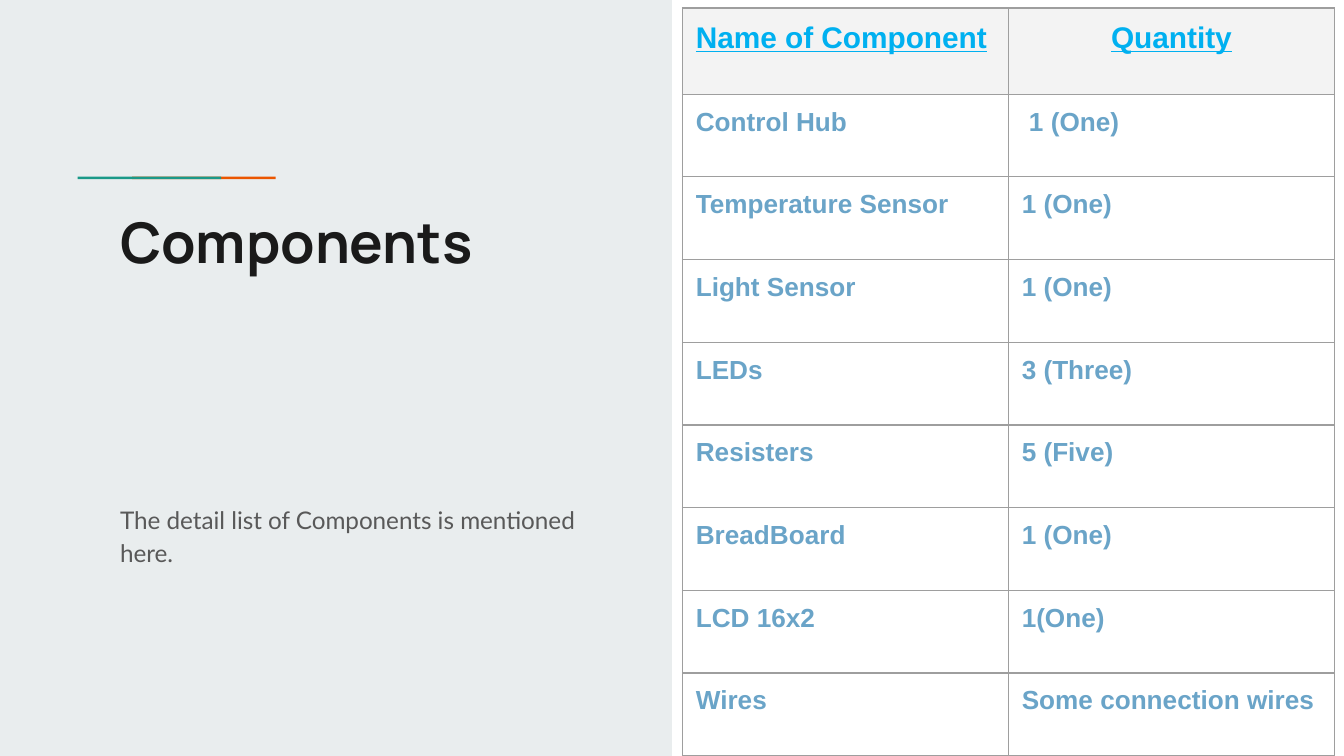
"""Build the components slide: a titled panel beside a parts table."""
import pptx
import pptx.dml.color
import pptx.enum.shapes
import pptx.enum.text
import pptx.oxml
import pptx.oxml.ns
import pptx.util

Cm = pptx.util.Cm
Pt = pptx.util.Pt
Align = pptx.enum.text.PP_ALIGN

COLORS = {
    "panel": "E9EDEE", "teal": "1A9988", "orange": "EB5600",
    "title": "1A1A1A", "subtitle": "595959", "heading": "00B0F0",
    "entry": "6AA4C8", "heading_fill": "F3F3F3", "border": "9E9E9E",
}

COMPONENTS = [
    ("Name of Component", "Quantity"),
    ("Control Hub", " 1 (One)"),
    ("Temperature Sensor", "1 (One)"),
    ("Light Sensor", "1 (One)"),
    ("LEDs", "3 (Three)"),
    ("Resisters", "5 (Five)"),
    ("BreadBoard", "1 (One)"),
    ("LCD 16x2", "1(One)"),
    ("Wires", "Some connection wires"),
]


class SlideBuilder:
    def __init__(self, slide, inset=0.25):
        self.slide = slide
        self.inset = Cm(inset)

    def color(self, name):
        return pptx.dml.color.RGBColor.from_string(COLORS[name])

    def font(self, paragraph, face, size, color, bold=False, underline=False):
        font = paragraph.font
        font.name, font.size = face, Pt(size)
        font.bold, font.underline = bold, underline
        font.color.rgb = self.color(color)

    def margins(self, holder):
        holder.margin_left = holder.margin_right = self.inset
        holder.margin_top = holder.margin_bottom = self.inset

    def block(self, left, top, width, height, color):
        block = self.slide.shapes.add_shape(
            pptx.enum.shapes.MSO_SHAPE.RECTANGLE,
            Cm(left), Cm(top), Cm(width), Cm(height))
        block.shadow.inherit = False
        block.fill.solid()
        block.fill.fore_color.rgb = self.color(color)
        block.line.fill.background()

    def text(self, left, top, width, height, words, face, size, color,
             bold=False, spacing=1.0):
        box = self.slide.shapes.add_textbox(
            Cm(left), Cm(top), Cm(width), Cm(height))
        frame = box.text_frame
        frame.word_wrap = True
        self.margins(frame)
        paragraph = frame.paragraphs[0]
        paragraph.text = words
        paragraph.line_spacing = spacing
        self.font(paragraph, face, size, color, bold)

    def borders(self, cell):
        properties = cell._tc.get_or_add_tcPr()
        for side in ("lnL", "lnR", "lnT", "lnB"):
            properties.append(pptx.oxml.parse_xml(
                f'<a:{side} {pptx.oxml.ns.nsdecls("a")} w="{Pt(0.75)}">'
                f'<a:solidFill><a:srgbClr val="{COLORS["border"]}"/></a:solidFill>'
                f'</a:{side}>'))

    def cell(self, cell, words, heading, centered):
        self.borders(cell)
        self.margins(cell)
        if heading:
            cell.fill.solid()
            cell.fill.fore_color.rgb = self.color("heading_fill")
        else:
            cell.fill.background()
        paragraph = cell.text_frame.paragraphs[0]
        paragraph.text = words
        paragraph.alignment = Align.CENTER if centered else Align.LEFT
        self.font(paragraph, "Arial", 16 if heading else 14,
                  "heading" if heading else "entry", True, heading)

    def table(self, left, top, column_width, height, heading_height, rows):
        columns = len(rows[0])
        row_height = (height - heading_height) / (len(rows) - 1)
        table = self.slide.shapes.add_table(
            len(rows), columns, Cm(left), Cm(top),
            Cm(column_width * columns), Cm(height)).table
        table.first_row = table.horz_banding = False
        for column in table.columns:
            column.width = Cm(column_width)
        for r, entries in enumerate(rows):
            heading = r == 0
            table.rows[r].height = Cm(heading_height if heading else row_height)
            for c, words in enumerate(entries):
                self.cell(table.cell(r, c), words, heading, heading and c == 1)


def main():
    deck = pptx.Presentation()
    deck.slide_width, deck.slide_height = Cm(25.4), Cm(14.29)
    builder = SlideBuilder(deck.slides.add_slide(deck.slide_layouts[6]))
    builder.block(0, 0, 12.7, 14.29, "panel")
    for left, color in ((2.5, "orange"), (1.47, "teal")):
        builder.block(left, 3.34, 2.71, 0.05, color)
    builder.text(2.02, 3.67, 9.17, 4.7, "Components",
                 "Manrope", 30, "title", bold=True)
    builder.text(2.02, 9.21, 9.17, 2.1,
                 "The detail list of Components is mentioned here.",
                 "Lato", 13, "subtitle", spacing=1.15)
    builder.table(12.9, 0.15, 6.16, 14.14, 1.63, COMPONENTS)
    deck.save("out.pptx")


if __name__ == "__main__":
    main()
